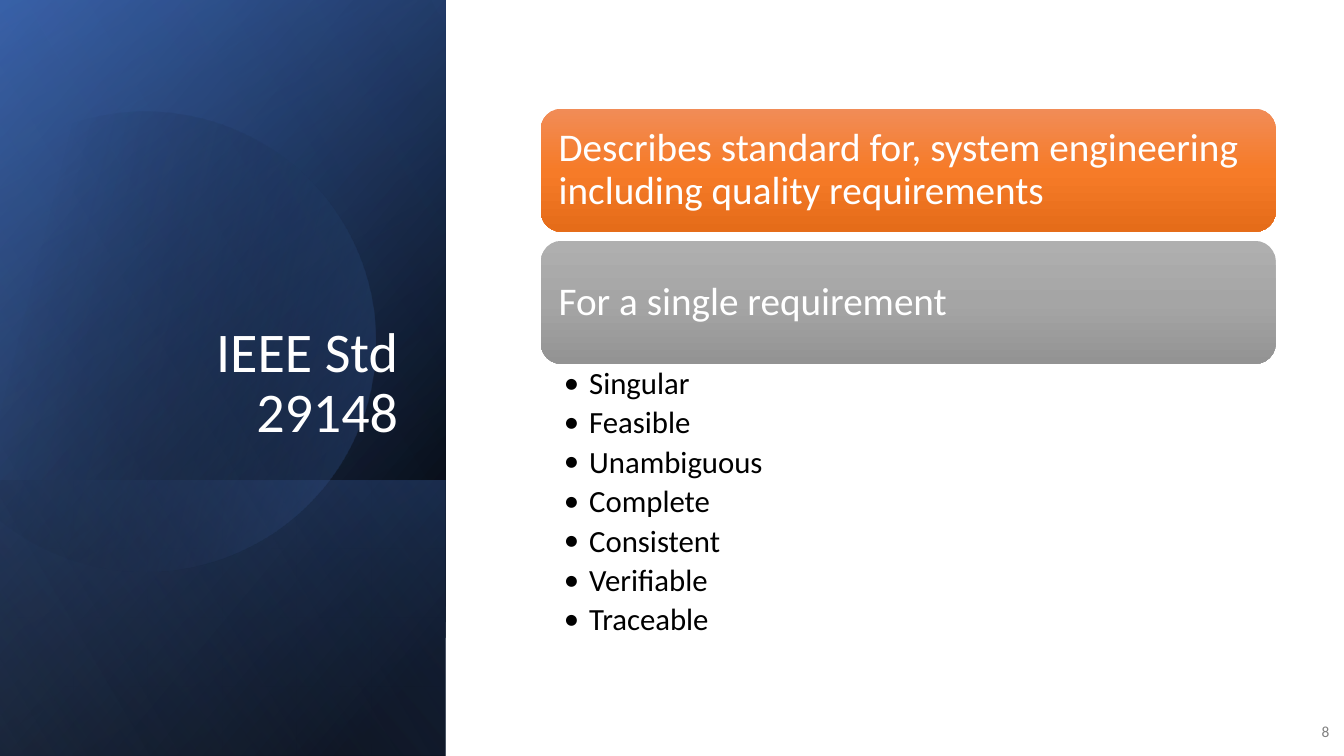
from dataclasses import dataclass
from itertools import pairwise
from math import cos, radians, sin

from lxml.etree import SubElement
from pptx import Presentation
from pptx.dml.color import RGBColor
from pptx.enum.shapes import MSO_SHAPE as Preset
from pptx.enum.text import MSO_ANCHOR as Anchor, PP_ALIGN as Align
from pptx.oxml.ns import qn
from pptx.util import Cm, Pt

BLACK = RGBColor(0x00, 0x00, 0x00)
WHITE = RGBColor(0xFF, 0xFF, 0xFF)
GREY = RGBColor(0x80, 0x80, 0x80)
NAVY = RGBColor(0x2F, 0x55, 0x97)
BLUE = RGBColor(0x44, 0x72, 0xC4)
PALE_BLUE = RGBColor(0x8F, 0xAA, 0xDC)
ORANGES = (RGBColor(0xF1, 0x8C, 0x57), RGBColor(0xF6, 0x7B, 0x28), RGBColor(0xE5, 0x6C, 0x19))
GREYS = (RGBColor(0xAF, 0xAF, 0xAF), RGBColor(0xA5, 0xA5, 0xA5), RGBColor(0x93, 0x93, 0x93))

FONT = "Calibri"
PAGE_WIDTH, PAGE_HEIGHT = 33.87, 19.05
PANEL_WIDTH = 11.23
DISC_X, DISC_Y, DISC_RADIUS = 3.64, 8.5, 5.8
DISC_ANGLES = (-118, -90, 0, 90, 150)
CARD_LEFT, CARD_TOP, CARD_WIDTH, CARD_HEIGHT, CARD_PITCH = 13.63, 2.74, 18.52, 3.1, 3.33


@dataclass
class Stop:
    position: int
    colour: RGBColor
    opacity: int = 100


@dataclass
class Panel:
    top: float
    angle: int
    stops: tuple


@dataclass
class Card:
    text: str
    colours: tuple


@dataclass
class TextStyle:
    size: int
    colour: RGBColor
    align: Align = Align.LEFT
    spacing: float = 0.9
    after: float = 0


PANELS = (
    Panel(0, 50, (Stop(8, BLACK), Stop(100, NAVY))),
    Panel(0, 30, (Stop(0, BLACK, 0), Stop(99, BLUE, 46))),
    Panel(12.11, 130, (Stop(2, BLUE, 29), Stop(100, BLACK, 30))),
)
GLOW = Panel(0, 120, (Stop(0, BLACK, 0), Stop(99, PALE_BLUE, 11)))
CARDS = (
    Card("Describes standard for, system engineering including quality requirements", ORANGES),
    Card("For a single requirement", GREYS),
)
QUALITIES = ("Singular", "Feasible", "Unambiguous", "Complete",
             "Consistent", "Verifiable", "Traceable")


def fill_gradient(shape, stops: tuple, angle: int) -> None:
    shape.shadow.inherit = False
    shape.line.fill.background()
    shape.fill.gradient()
    gradient = shape._element.spPr.find(qn("a:gradFill"))
    for child in list(gradient):
        gradient.remove(child)
    gradient.set("rotWithShape", "1")
    stop_list = SubElement(gradient, qn("a:gsLst"))
    for stop in stops:
        mark = SubElement(stop_list, qn("a:gs"), pos=str(stop.position * 1000))
        colour = SubElement(mark, qn("a:srgbClr"), val=str(stop.colour))
        if stop.opacity < 100:
            SubElement(colour, qn("a:alpha"), val=str(stop.opacity * 1000))
    SubElement(gradient, qn("a:lin"), ang=str(angle * 60000), scaled="0")


def draw_panel(page, panel: Panel) -> None:
    """Draw a side panel reaching the page bottom, as a turned, mirrored rectangle."""
    height = PAGE_HEIGHT - panel.top
    shift = (PANEL_WIDTH - height) / 2
    shape = page.shapes.add_shape(Preset.RECTANGLE, Cm(shift), Cm(panel.top - shift),
                                  Cm(height), Cm(PANEL_WIDTH))
    shape.rotation = 90
    shape._element.spPr.find(qn("a:xfrm")).set("flipH", "1")
    fill_gradient(shape, panel.stops, panel.angle)


def draw_disc(page) -> None:
    """Draw the disc whose left side is cut off by a chord."""
    points = [(Cm(DISC_X + DISC_RADIUS * cos(radians(angle))),
               Cm(DISC_Y + DISC_RADIUS * sin(radians(angle)))) for angle in DISC_ANGLES]
    builder = page.shapes.build_freeform(*points[0])
    builder.add_line_segments(points[1:], close=True)
    disc = builder.convert_to_shape()

    # Bend the straight segments into arcs
    outline = disc._element.spPr.find(".//" + qn("a:path"))
    radius = str(Cm(DISC_RADIUS))
    for line, (start, end) in zip(outline.findall(qn("a:lnTo")), pairwise(DISC_ANGLES)):
        arc = SubElement(outline, qn("a:arcTo"), wR=radius, hR=radius,
                         stAng=str(start % 360 * 60000), swAng=str((end - start) * 60000))
        outline.replace(line, arc)

    disc.rotation = 343.9
    fill_gradient(disc, (Stop(29, BLACK, 0), Stop(100, BLUE, 43)), 30)


def write(para, text: str, style: TextStyle) -> None:
    para.alignment = style.align
    para.line_spacing = style.spacing
    para.space_after = Pt(style.after)
    span = para.add_run()
    span.text = text
    span.font.name = FONT
    span.font.size = Pt(style.size)
    span.font.color.rgb = style.colour


def set_frame(shape, anchor: Anchor, side: float = 0.25, edge: float = 0.13):
    frame = shape.text_frame
    frame.word_wrap = True
    frame.vertical_anchor = anchor
    frame.margin_left = frame.margin_right = Cm(side)
    frame.margin_top = frame.margin_bottom = Cm(edge)
    return frame


def draw_card(page, card: Card, top: float) -> None:
    shape = page.shapes.add_shape(Preset.ROUNDED_RECTANGLE, Cm(CARD_LEFT), Cm(top),
                                  Cm(CARD_WIDTH), Cm(CARD_HEIGHT))
    stops = tuple(Stop(50 * index, colour) for index, colour in enumerate(card.colours))
    fill_gradient(shape, stops, 90)
    frame = set_frame(shape, Anchor.MIDDLE, 0.3, 0.3)
    write(frame.paragraphs[0], card.text, TextStyle(28, WHITE))


def draw_qualities(page, top: float) -> None:
    box = page.shapes.add_textbox(Cm(CARD_LEFT), Cm(top), Cm(CARD_WIDTH), Cm(7.42))
    frame = set_frame(box, Anchor.TOP, 0.58, 0.1)
    for index, quality in enumerate(QUALITIES):
        para = frame.add_paragraph() if index else frame.paragraphs[0]
        para.level = 1
        properties = para._p.get_or_add_pPr()
        properties.set("marL", str(Cm(0.64)))
        properties.set("indent", str(Cm(-0.64)))
        SubElement(properties, qn("a:buFont"), typeface=FONT)
        SubElement(properties, qn("a:buChar"), char="•")
        write(para, quality, TextStyle(22, BLACK, after=4.4))


def main() -> None:
    deck = Presentation()
    deck.slide_width, deck.slide_height = Cm(PAGE_WIDTH), Cm(PAGE_HEIGHT)
    page = deck.slides.add_slide(deck.slide_layouts[6])

    # Side panel
    for panel in PANELS:
        draw_panel(page, panel)
    draw_disc(page)
    draw_panel(page, GLOW)

    # Title and page number
    title = page.shapes.add_textbox(Cm(1.62), Cm(4.69), Cm(8.66), Cm(6.65))
    write(set_frame(title, Anchor.BOTTOM).paragraphs[0], "IEEE Std 29148",
          TextStyle(40, WHITE, Align.RIGHT))
    number = page.shapes.add_textbox(Cm(32.51), Cm(17.93), Cm(1.24), Cm(1.02))
    write(set_frame(number, Anchor.MIDDLE).paragraphs[0], "8",
          TextStyle(11, GREY, Align.RIGHT, 1, 6))

    # Cards and list
    for index, card in enumerate(CARDS):
        draw_card(page, card, CARD_TOP + index * CARD_PITCH)
    draw_qualities(page, CARD_TOP + CARD_PITCH + CARD_HEIGHT)

    deck.save("out.pptx")


if __name__ == "__main__":
    main()
